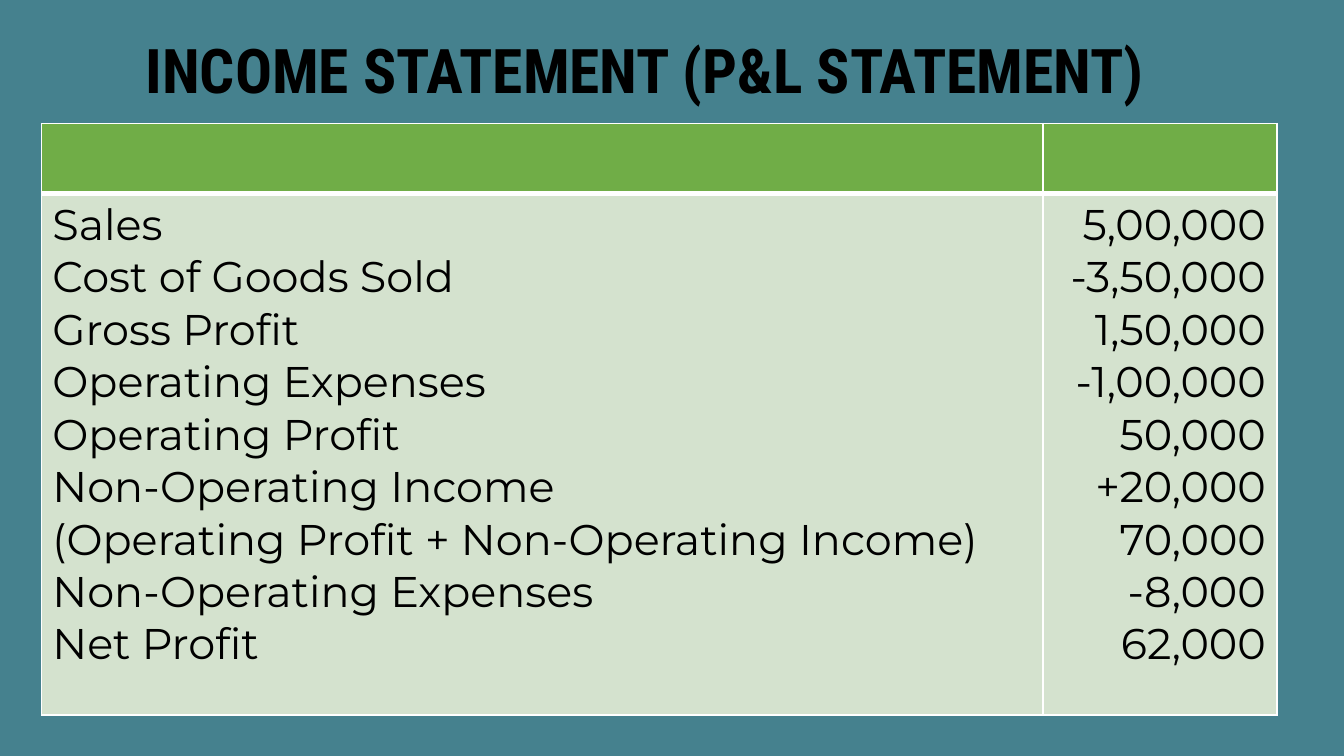
"""Build an income statement slide with a two-column table."""
import pptx
import pptx.util
import pptx.dml.color
import pptx.enum.text
from lxml import etree
from pptx.oxml.ns import qn

Inches, Pt = pptx.util.Inches, pptx.util.Pt
RGBColor = pptx.dml.color.RGBColor
ALIGN = pptx.enum.text.PP_ALIGN
MIDDLE = pptx.enum.text.MSO_ANCHOR.MIDDLE

TEAL = RGBColor(0x45, 0x81, 0x8E)
GREEN = RGBColor(0x70, 0xAD, 0x47)
PALE = RGBColor(0xD4, 0xE2, 0xCE)
WHITE = RGBColor(0xFF, 0xFF, 0xFF)
BLACK = RGBColor(0, 0, 0)

TITLE = "INCOME STATEMENT (P&L STATEMENT)"
ITEMS = [
    ("Sales", "5,00,000"),
    ("Cost of Goods Sold", "-3,50,000"),
    ("Gross Profit", "1,50,000"),
    ("Operating Expenses", "-1,00,000"),
    ("Operating Profit", "50,000"),
    ("Non-Operating Income", "+20,000"),
    ("(Operating Profit + Non-Operating Income)", "70,000"),
    ("Non-Operating Expenses", "-8,000"),
    ("Net Profit", "62,000"),
]
SLIDE_WIDTH = 10
COLUMNS = [(7.45, ALIGN.LEFT), (1.74, ALIGN.RIGHT)]
ROWS = [(0.52, GREEN, (1, 3)), (3.88, PALE, (3, 1))]


def write(tf, lines, font, size, bold=False, align=ALIGN.LEFT, spacing=1.0):
    """Write one paragraph per line in a single format."""
    for i, line in enumerate(lines):
        p = tf.paragraphs[0] if i == 0 else tf.add_paragraph()
        p.alignment, p.line_spacing = align, spacing
        r = p.add_run()
        r.text = line
        r.font.name, r.font.size, r.font.bold = font, Pt(size), bold
        r.font.color.rgb = BLACK


def set_borders(cell, top, bottom):
    """Give a cell white borders with the given top and bottom widths."""
    tc_pr = cell._tc.get_or_add_tcPr()
    widths = {"a:lnL": 1, "a:lnR": 1, "a:lnT": top, "a:lnB": bottom}
    for i, (tag, width) in enumerate(widths.items()):
        ln = etree.Element(qn(tag), w=str(Pt(width)))
        fill = etree.SubElement(ln, qn("a:solidFill"))
        etree.SubElement(fill, qn("a:srgbClr"), val=str(WHITE))
        tc_pr.insert(i, ln)


def main():
    """Assemble and save the slide."""
    prs = pptx.Presentation()
    prs.slide_width, prs.slide_height = Inches(SLIDE_WIDTH), Inches(SLIDE_WIDTH * 9 / 16)
    s = prs.slides.add_slide(prs.slide_layouts[6])
    s.background.fill.solid()
    s.background.fill.fore_color.rgb = TEAL

    title = s.shapes.add_textbox(Inches(0.49), 0, Inches(8.62), Inches(1.09))
    tf = title.text_frame
    tf.word_wrap, tf.vertical_anchor = True, MIDDLE
    tf.margin_left = tf.margin_right = Inches(0.07)
    tf.margin_top = tf.margin_bottom = Inches(0.04)
    write(tf, [TITLE], "Roboto Condensed", 33, bold=True, align=ALIGN.CENTER, spacing=0.9)

    width = sum(w for w, _ in COLUMNS)
    height = sum(row[0] for row in ROWS)
    table = s.shapes.add_table(len(ROWS), len(COLUMNS), Inches(0.31), Inches(0.92),
                               Inches(width), Inches(height)).table
    for c, (w, _) in enumerate(COLUMNS):
        table.columns[c].width = Inches(w)
    for r, (h, color, edges) in enumerate(ROWS):
        table.rows[r].height = Inches(h)
        for cell in table.rows[r].cells:
            cell.fill.solid()
            cell.fill.fore_color.rgb = color
            cell.margin_left = cell.margin_right = Inches(0.08)
            cell.margin_top = cell.margin_bottom = Inches(0.04)
            set_borders(cell, *edges)
    for c, (lines, (_, align)) in enumerate(zip(zip(*ITEMS), COLUMNS)):
        write(table.cell(1, c).text_frame, lines, "Montserrat", 23, align=align)

    prs.save("out.pptx")


if __name__ == "__main__":
    main()
